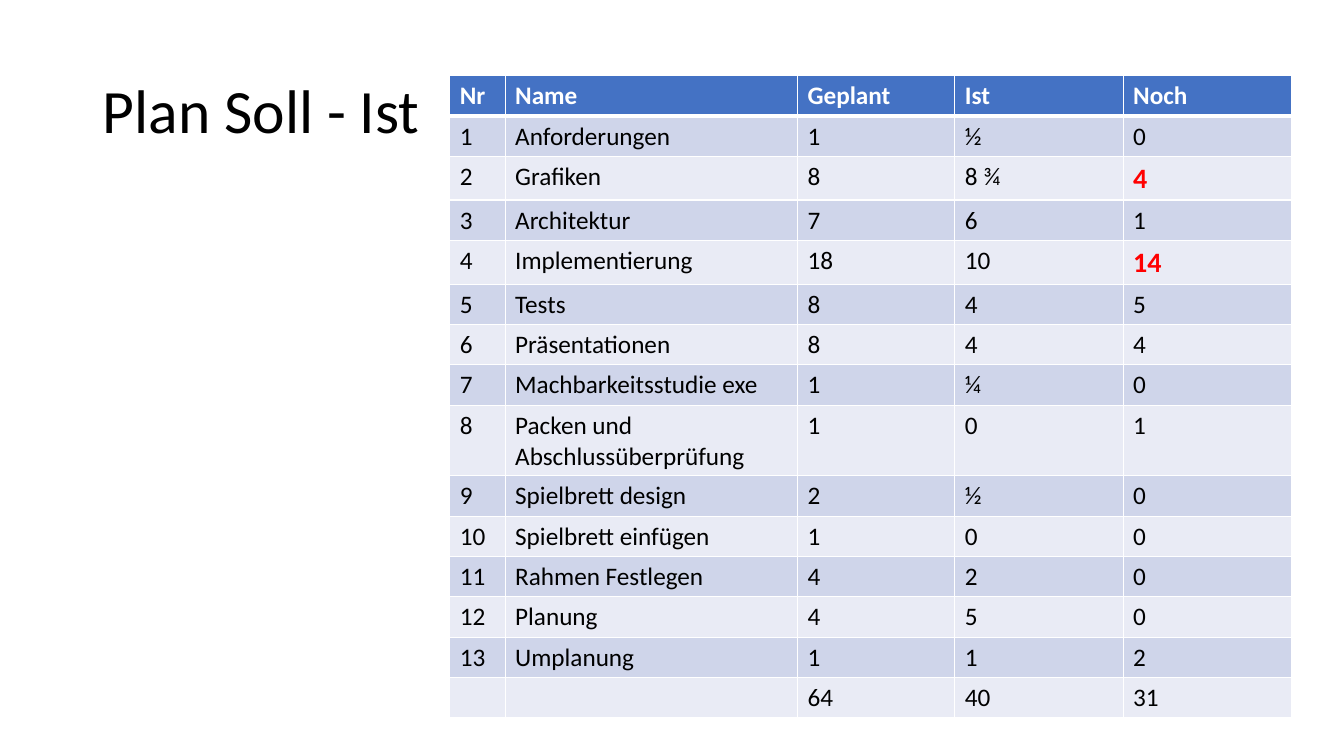
import dataclasses

import lxml.etree
import pptx
import pptx.dml.color
import pptx.enum.text
import pptx.oxml.ns
import pptx.util

Inches = pptx.util.Inches
Pt = pptx.util.Pt


@dataclasses.dataclass(frozen=True)
class Theme:
    font: str = "Calibri"
    ink: str = "000000"
    white: str = "FFFFFF"
    alert: str = "FF0000"
    head: str = "4472C4"
    bands: tuple = ("E9EBF5", "CFD5EA")
    title: int = 44
    body: int = 18
    strong: int = 20
    thin: int = 1
    thick: int = 3


class Board:
    """Draws styled elements on the current slide."""

    def __init__(self, deck, theme):
        self.theme = theme
        self.slide = deck.slides.add_slide(deck.slide_layouts[6])

    def label(self, para, text, size, color, bold=False):
        run = para.add_run()
        run.text = text
        run.font.name = self.theme.font
        run.font.size = Pt(size)
        run.font.bold = bold
        run.font.color.rgb = pptx.dml.color.RGBColor.from_string(color)

    def title(self, text, left, top, width, height):
        box = self.slide.shapes.add_textbox(
            Inches(left), Inches(top), Inches(width), Inches(height))
        frame = box.text_frame
        frame.word_wrap = True
        frame.vertical_anchor = pptx.enum.text.MSO_ANCHOR.MIDDLE
        para = frame.paragraphs[0]
        para.line_spacing = 0.9
        self.label(para, text, self.theme.title, self.theme.ink)

    def border(self, cell, side, width):
        tag = pptx.oxml.ns.qn
        props = cell._tc.get_or_add_tcPr()
        line = lxml.etree.SubElement(props, tag("a:ln" + side), w=str(Pt(width)))
        fill = lxml.etree.SubElement(line, tag("a:solidFill"))
        lxml.etree.SubElement(fill, tag("a:srgbClr"), val=self.theme.white)

    def cell(self, cell, text, row, alert):
        look = self.theme
        for side in "LRTB":
            rule = (row, side) in ((0, "B"), (1, "T"))
            self.border(cell, side, look.thick if rule else look.thin)
        cell.fill.solid()
        fill = look.bands[row % 2] if row else look.head
        cell.fill.fore_color.rgb = pptx.dml.color.RGBColor.from_string(fill)
        para = cell.text_frame.paragraphs[0]
        para.font.size = Pt(look.body)
        if alert:
            self.label(para, text, look.strong, look.alert, True)
        elif text:
            color = look.ink if row else look.white
            self.label(para, text, look.body, color, row == 0)

    def table(self, data, left, top, widths, heights, alerts):
        grid = self.slide.shapes.add_table(
            len(data), len(widths), Inches(left), Inches(top),
            Inches(sum(widths)), Inches(sum(heights))).table
        for col, width in zip(grid.columns, widths):
            col.width = Inches(width)
        for row, height in zip(grid.rows, heights):
            row.height = Inches(height)
        for row, texts in enumerate(data):
            for col, text in enumerate(texts):
                self.cell(grid.cell(row, col), text, row, (row, col) in alerts)


TASKS = [
    ("Anforderungen", "1", "½", "0"),
    ("Grafiken", "8", "8 ¾", "4"),
    ("Architektur", "7", "6", "1"),
    ("Implementierung", "18", "10", "14"),
    ("Tests", "8", "4", "5"),
    ("Präsentationen", "8", "4", "4"),
    ("Machbarkeitsstudie exe", "1", "¼", "0"),
    ("Packen und Abschlussüberprüfung", "1", "0", "1"),
    ("Spielbrett design", "2", "½", "0"),
    ("Spielbrett einfügen", "1", "0", "0"),
    ("Rahmen Festlegen", "4", "2", "0"),
    ("Planung", "4", "5", "0"),
    ("Umplanung", "1", "1", "2"),
]


def main():
    deck = pptx.Presentation()
    deck.slide_width = Inches(13.33)
    deck.slide_height = Inches(7.5)
    board = Board(deck, Theme())
    board.title("Plan Soll - Ist", 0.92, 0.4, 11.5, 1.45)
    data = [("Nr", "Name", "Geplant", "Ist", "Noch")]
    data += [(str(num), *task) for num, task in enumerate(TASKS, 1)]
    data.append(("", "", "64", "40", "31"))
    heights = [0.62 if row == 8 else 0.36 for row in range(len(data))]
    board.table(data, 4.46, 0.75, (0.55, 2.9, 1.56, 1.67, 1.67), heights,
                {(2, 4), (4, 4)})
    deck.save("out.pptx")


if __name__ == "__main__":
    main()
